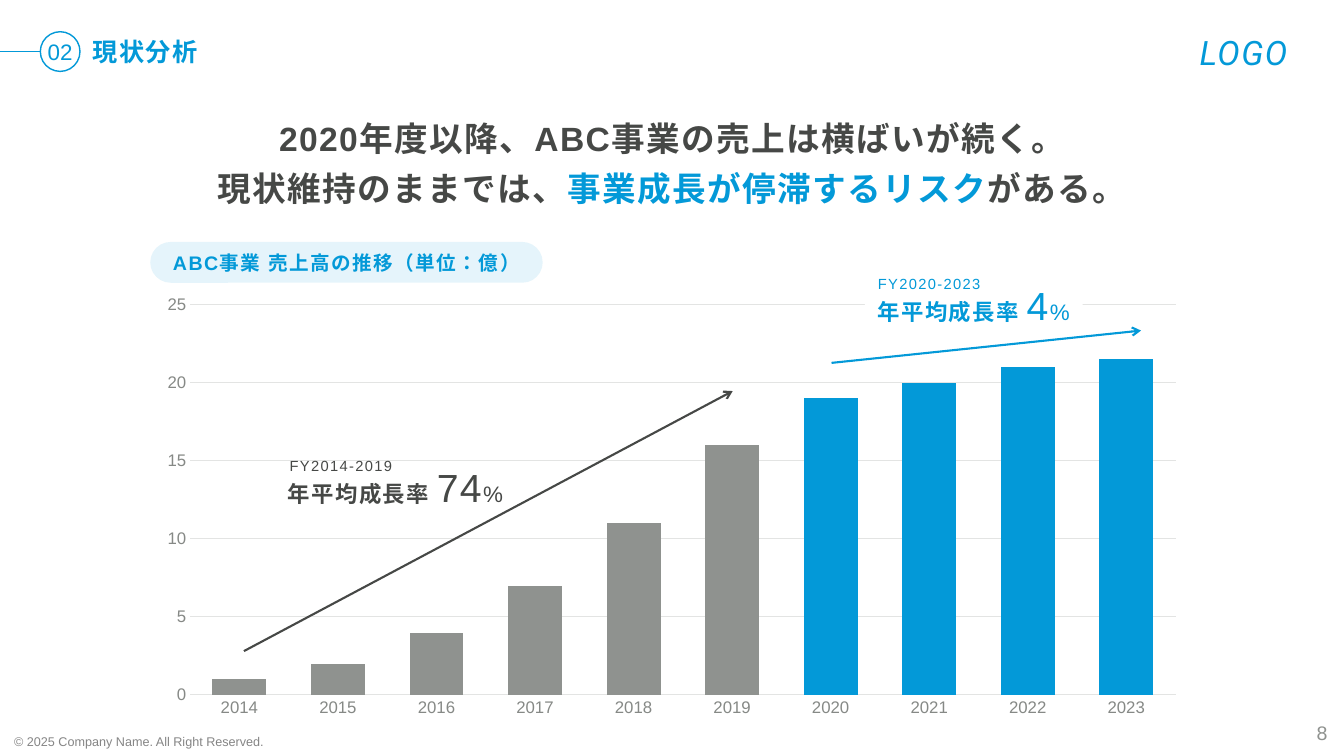
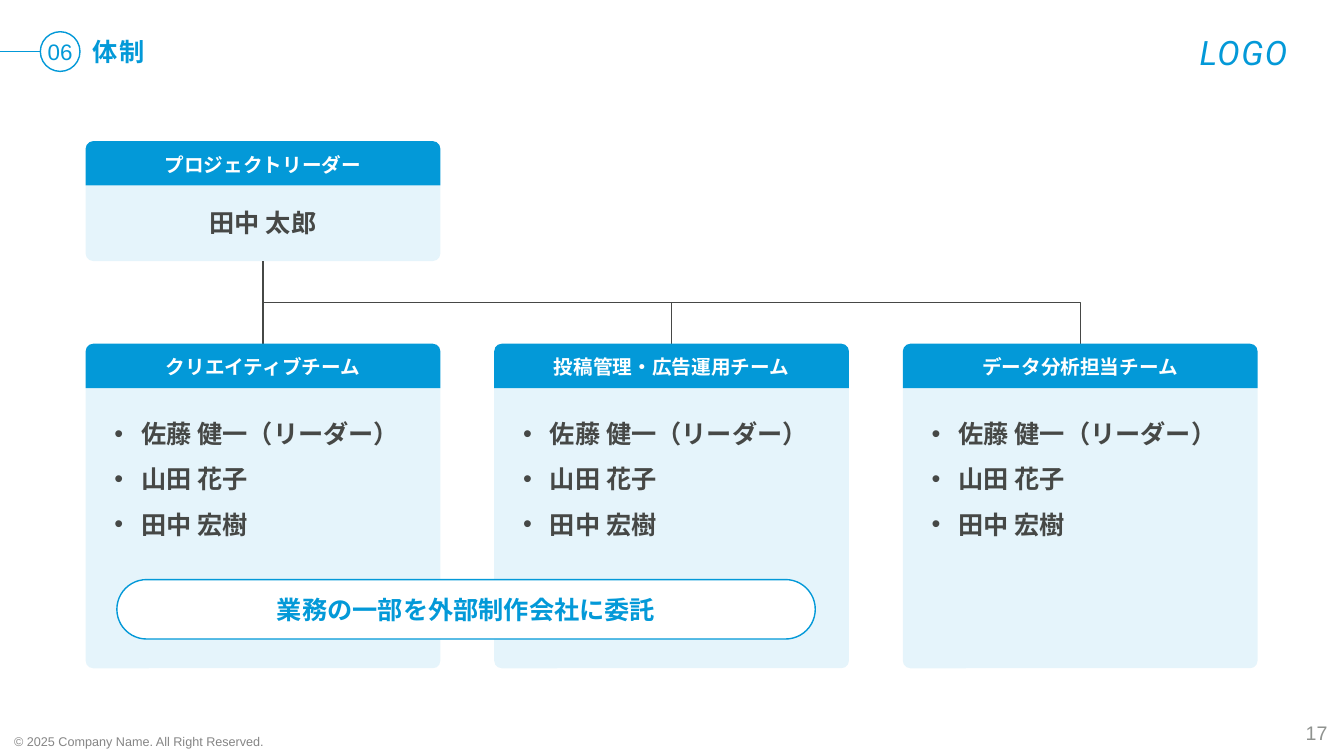
import dataclasses
import lxml.etree
import pptx
import pptx.chart.data
import pptx.dml.color
import pptx.enum.chart
import pptx.enum.lang
import pptx.enum.shapes
import pptx.enum.text
import pptx.oxml.ns
import pptx.util

qn = pptx.oxml.ns.qn
Pt = pptx.util.Pt
SHAPE = pptx.enum.shapes.MSO_SHAPE
LINK = pptx.enum.shapes.MSO_CONNECTOR
ALIGN = pptx.enum.text.PP_ALIGN
ANCHOR = pptx.enum.text.MSO_ANCHOR


class Theme:
    """Colours, fonts and type sizes."""
    blue, dark, grey = "0399D8", "464846", "8F928F"
    white, note, axis, grid = "FFFFFF", "858585", "868986", "E3E4E3"
    latin, kanji, mark = "Arial", "Noto Sans CJK JP", "Roboto"
    huge, big, head, mid, small = 28, 24, 18, 16, 14
    tick, tag, fine = 12, 10.5, 9
    thin, bold, hair = 1, 1.5, 0.75
    tint = 10  # opacity of pale panels, per cent


@dataclasses.dataclass
class Box:
    """A rectangle; cut() takes per cent of its own size."""
    x: float
    y: float
    w: float
    h: float

    def cut(self, x, y, w, h):
        return Box(self.x + self.w * x / 100, self.y + self.h * y / 100,
                   self.w * w / 100, self.h * h / 100)

    def spot(self, x, y):
        return self.x + self.w * x / 100, self.y + self.h * y / 100

    def ints(self):
        return [round(v) for v in (self.x, self.y, self.w, self.h)]


PAGE = Box(0, 0, pptx.util.Inches(13.33), pptx.util.Inches(7.5))


def rgb(color):
    return pptx.dml.color.RGBColor.from_string(color)


# Text: a run is (text, size, colour, font, bold, spacing in points)
def run(text, size, color, font=Theme.latin, bold=False, gap=0):
    return text, size, color, font, bold, gap


def write(frame, paras, align=ALIGN.CENTER, anchor=ANCHOR.MIDDLE,
          lead=1.0, before=0, inset=(0, 0), bullet=0):
    frame.word_wrap = True
    frame.auto_size = pptx.enum.text.MSO_AUTO_SIZE.NONE
    frame.vertical_anchor = anchor
    frame.margin_left, frame.margin_top = (round(v) for v in inset)
    frame.margin_right = frame.margin_bottom = 0
    for i, runs in enumerate(paras):
        para = frame.add_paragraph() if i else frame.paragraphs[0]
        para.alignment, para.line_spacing = align, lead
        para.space_before = Pt(before if i else 0)
        if bullet:
            props = para._p.get_or_add_pPr()
            props.set("marL", str(round(bullet * 1.2)))
            props.set("indent", str(-round(bullet)))
            face = lxml.etree.SubElement(props, qn("a:buFont"))
            face.set("typeface", Theme.latin)
            lxml.etree.SubElement(props, qn("a:buChar")).set("char", "•")
        for text, size, color, font, bold, gap in runs:
            bit = para.add_run()
            bit.text = text
            bit.font.size, bit.font.bold = Pt(size), bold
            bit.font.name, bit.font.color.rgb = font, rgb(color)
            bit.font.language_id = pptx.enum.lang.MSO_LANGUAGE_ID.JAPANESE
            props = bit._r.get_or_add_rPr()
            east = lxml.etree.SubElement(props, qn("a:ea"))
            east.set("typeface", font)
            if gap:
                props.set("spc", str(gap * 100))


def label(slide, box, paras, fill=None, **style):
    text = slide.shapes.add_textbox(*box.ints())
    if fill:
        text.fill.solid()
        text.fill.fore_color.rgb = rgb(fill)
    write(text.text_frame, paras, **style)
    return text


# Shapes and lines
def panel(slide, kind, box, fill=None, line=None, clear=None, bends=()):
    shape = slide.shapes.add_shape(kind, *box.ints())
    shape.shadow.inherit = False
    for i, bend in enumerate(bends):
        shape.adjustments[i] = bend
    if fill:
        shape.fill.solid()
        shape.fill.fore_color.rgb = rgb(fill)
    else:
        shape.fill.background()
    if clear:
        tone = shape.element.spPr.find(".//" + qn("a:srgbClr"))
        alpha = lxml.etree.SubElement(tone, qn("a:alpha"))
        alpha.set("val", str(clear * 1000))
    if line:
        shape.line.color.rgb = rgb(line)
        shape.line.width = Pt(Theme.thin)
    else:
        shape.line.fill.background()
    return shape


def stroke(slide, start, end, color, width=Theme.thin, arrow=False,
           kind=LINK.STRAIGHT):
    line = slide.shapes.add_connector(
        kind, *(round(v) for v in (*start, *end)))
    line.line.color.rgb = rgb(color)
    line.line.width = Pt(width)
    props = line.element.spPr
    if arrow:
        tip = lxml.etree.SubElement(props.find(qn("a:ln")), qn("a:tailEnd"))
        tip.set("type", "arrow")
    lxml.etree.SubElement(props, qn("a:effectLst"))
    return line


def elbow(slide, start, end, color):
    """Down, across and down: a bent connector turned by 270 degrees."""
    wide, tall = end[0] - start[0], end[1] - start[1]
    mid_x, mid_y = start[0] + wide / 2, start[1] + tall / 2
    line = stroke(slide, (mid_x - tall / 2, mid_y - wide / 2),
                  (mid_x + tall / 2, mid_y + wide / 2), color,
                  kind=LINK.ELBOW)
    turn = line.element.spPr.find(qn("a:xfrm"))
    turn.set("rot", "16200000")
    turn.set("flipH", "1")


# Parts shared by every slide
def base(deck, number, title, page):
    slide = deck.slides.add_slide(deck.slide_layouts[5])
    head = slide.shapes.title
    (head.left, head.top,
     head.width, head.height) = PAGE.cut(6.9, 5.2, 40, 3.6).ints()
    write(head.text_frame,
          [[run(title, Theme.head, Theme.blue, bold=True, gap=1)]],
          align=ALIGN.LEFT, lead=0.9)
    stroke(slide, PAGE.spot(0, 6.83), PAGE.spot(3, 6.83), Theme.blue)
    ring = panel(slide, SHAPE.OVAL, PAGE.cut(3, 4.2, 2.95, 5.25),
                 line=Theme.blue)
    write(ring.text_frame, [[run(number, Theme.mid, Theme.blue)]])
    mark = label(slide, PAGE.cut(87.8, 3.5, 9.45, 6.7),
                 [[run("LOGO", Theme.big, Theme.blue, Theme.mark, gap=1)]])
    mark.text_frame.paragraphs[0].runs[0].font.italic = True
    label(slide, PAGE.cut(1.05, 97.07, 25, 2),
          [[run("© 2025 Company Name. All Right Reserved.",
                Theme.fine, Theme.note)]], align=ALIGN.LEFT)
    label(slide, PAGE.cut(94, 94.27, 4.77, 5.33),
          [[run(page, Theme.small, Theme.grey)]], align=ALIGN.RIGHT)
    return slide


# Sales chart
def sales(slide, box, years, values, split):
    data = pptx.chart.data.CategoryChartData()
    data.categories = years
    data.add_series("Series 1", values)
    chart = slide.shapes.add_chart(
        pptx.enum.chart.XL_CHART_TYPE.COLUMN_CLUSTERED,
        *box.ints(), data).chart
    chart.has_legend = chart.has_title = False
    chart.font.name, chart.font.size = Theme.latin, Pt(Theme.tick)
    chart.font.color.rgb = rgb(Theme.axis)

    plot = chart.plots[0]
    plot.vary_by_categories = False
    plot.gap_width, plot.overlap = 83, -27
    bars = plot.series[0]
    bars.invert_if_negative = False
    bars.format.fill.solid()
    bars.format.fill.fore_color.rgb = rgb(Theme.blue)
    for i in range(split):
        fill = bars.points[i].format.fill
        fill.solid()
        fill.fore_color.rgb = rgb(Theme.grey)

    none = pptx.enum.chart.XL_TICK_MARK.NONE
    base_axis, side = chart.category_axis, chart.value_axis
    for axis in (base_axis, side):
        axis.major_tick_mark = axis.minor_tick_mark = none
    side.minimum_scale, side.maximum_scale, side.major_unit = 0, 25, 5
    side.format.line.fill.background()
    for part in (base_axis, side.major_gridlines):
        part.format.line.color.rgb = rgb(Theme.grid)
        part.format.line.width = Pt(Theme.hair)

    # Fix the inner plot area
    area = chart.element.find(".//" + qn("c:plotArea"))
    for old in area.findall(qn("c:layout")):
        area.remove(old)
    layout = lxml.etree.Element(qn("c:layout"))
    area.insert(0, layout)
    inner = lxml.etree.SubElement(layout, qn("c:manualLayout"))
    for key, val in (("layoutTarget", "inner"), ("xMode", "edge"),
                     ("yMode", "edge"), ("x", 0.04), ("y", 0.04),
                     ("w", 0.94), ("h", 0.89)):
        lxml.etree.SubElement(inner, qn("c:" + key)).set("val", str(val))


def growth(slide, box, span, rate, color, fill=None):
    label(slide, box.cut(0, 5, 100, 95),
          [[run("年平均成長率 ", Theme.mid, color, Theme.kanji, True, 1),
            run(rate, Theme.huge, color, gap=1),
            run("%", Theme.mid, color, gap=1)]], fill=fill, lead=1.17)
    label(slide, box.cut(6, 0, 58, 46),
          [[run(span, Theme.tag, color, gap=1)]],
          align=ALIGN.LEFT, lead=1.17)


def trend(deck):
    slide = base(deck, "02", "現状分析", "8")
    lines = [[("2020年度以降、ABC事業の売上は横ばいが続く。", Theme.dark)],
             [("現状維持のままでは、", Theme.dark),
              ("事業成長が停滞するリスク", Theme.blue),
              ("がある。", Theme.dark)]]
    label(slide, PAGE.cut(10, 16.1, 80, 11.6),
          [[run(text, Theme.big, color, bold=True, gap=1)
            for text, color in line] for line in lines],
          lead=0.9, before=10)
    sales(slide, PAGE.cut(11.03, 38, 78, 58),
          [str(year) for year in range(2014, 2024)],
          [1, 2, 4, 7, 11, 16, 19, 20, 21, 21.5], 6)
    stroke(slide, PAGE.spot(61.87, 48), PAGE.spot(84.9, 43.73),
           Theme.blue, Theme.bold, True)
    growth(slide, PAGE.cut(64.35, 35.4, 16.2, 8.4),
           "FY2020-2023", "4", Theme.blue, Theme.white)
    stroke(slide, PAGE.spot(18.15, 86.13), PAGE.spot(54.52, 51.73),
           Theme.dark, Theme.bold, True)
    growth(slide, PAGE.cut(20.48, 59.5, 17.9, 8.4),
           "FY2014-2019", "74", Theme.dark)
    pill = panel(slide, SHAPE.ROUNDED_RECTANGLE,
                 PAGE.cut(11.18, 32, 29.2, 5.4), Theme.blue,
                 clear=Theme.tint, bends=[0.5])
    write(pill.text_frame, [[run("ABC事業 売上高の推移（単位：億）",
                                 Theme.small, Theme.blue, bold=True, gap=1)]])


# Team chart
def card(slide, box, role, names):
    cap = PAGE.h * 0.0587
    curve = PAGE.h * 0.01
    top = Box(box.x, box.y, box.w, cap)
    body = Box(box.x, box.y + cap, box.w, box.h - cap)
    kind = SHAPE.ROUND_2_SAME_RECTANGLE
    low = panel(slide, kind, body, Theme.blue, clear=Theme.tint,
                bends=[0, curve / body.h])
    people = [[run(name, Theme.head, Theme.dark, Theme.kanji, True)]
              for name in names]
    if len(names) > 1:
        write(low.text_frame, people, ALIGN.LEFT, ANCHOR.TOP, lead=1.5,
              inset=(box.w * 0.06, PAGE.h * 0.02), bullet=PAGE.w * 0.02)
    else:
        write(low.text_frame, people)
    high = panel(slide, kind, top, Theme.blue, bends=[curve / cap, 0])
    write(high.text_frame,
          [[run(role, Theme.small, Theme.white, Theme.kanji, True)]])


def team(deck):
    slide = base(deck, "06", "体制", "17")
    area = PAGE.cut(6.37, 18.67, 87.2, 69.73)
    wide = 30.27
    step = (100 - wide) / 2
    lead_h, team_y = 22.75, 38.43
    start = area.spot(wide / 2, lead_h)
    names = ["佐藤 健一（リーダー）", "山田 花子", "田中 宏樹"]
    roles = ["クリエイティブチーム", "投稿管理・広告運用チーム",
             "データ分析担当チーム"]
    card(slide, area.cut(0, 0, wide, lead_h),
         "プロジェクトリーダー", ["田中 太郎"])
    for i, role in enumerate(roles):
        end = area.spot(step * i + wide / 2, team_y)
        (elbow if i else stroke)(slide, start, end, Theme.dark)
        card(slide, area.cut(step * i, team_y, wide, 100 - team_y),
             role, names)
    bar = panel(slide, SHAPE.ROUNDED_RECTANGLE,
                area.cut(2.67, 83.17, 59.59, 11.28),
                Theme.white, Theme.blue, bends=[0.5])
    write(bar.text_frame, [[run("業務の一部を外部制作会社に委託",
                                Theme.head, Theme.blue, Theme.kanji, True)]])


def main():
    deck = pptx.Presentation()
    deck.slide_width, deck.slide_height = PAGE.w, PAGE.h
    trend(deck)
    team(deck)
    deck.save("out.pptx")


if __name__ == "__main__":
    main()
